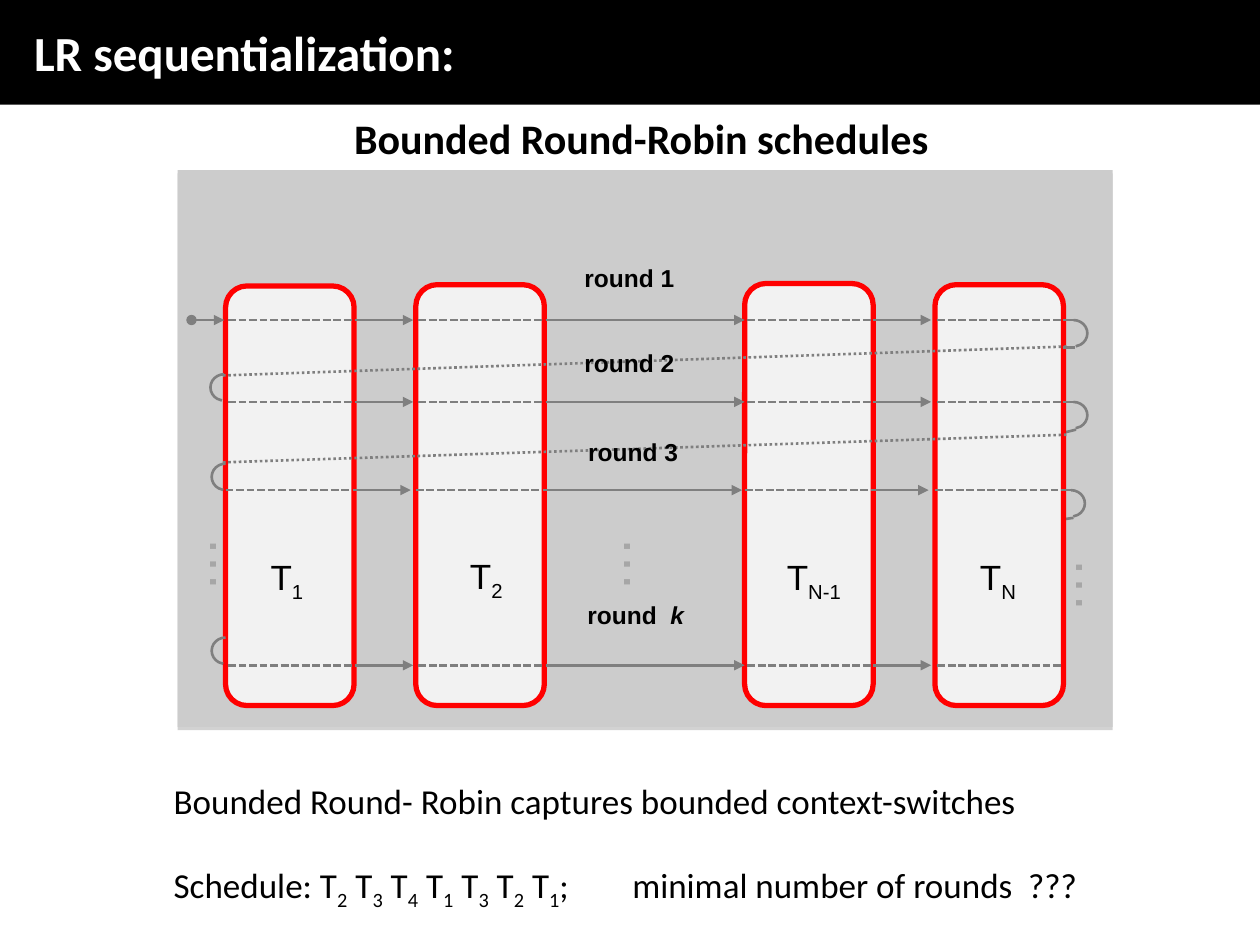
from dataclasses import dataclass

from lxml.etree import SubElement
from pptx import Presentation
from pptx.dml.color import RGBColor
from pptx.enum.dml import MSO_LINE_DASH_STYLE as Dash
from pptx.enum.shapes import MSO_CONNECTOR, MSO_SHAPE
from pptx.enum.text import MSO_ANCHOR, MSO_AUTO_SIZE, PP_ALIGN
from pptx.oxml.ns import qn
from pptx.util import Inches, Pt

BLACK = RGBColor(0x00, 0x00, 0x00)
WHITE = RGBColor(0xFF, 0xFF, 0xFF)
PANEL_GREY = RGBColor(0xCC, 0xCC, 0xCC)
THREAD_FILL = RGBColor(0xF2, 0xF2, 0xF2)
THREAD_RED = RGBColor(0xFF, 0x00, 0x00)
PATH_GREY = RGBColor(0x7F, 0x7F, 0x7F)
DOTS_GREY = RGBColor(0xA6, 0xA6, 0xA6)

THREAD_WIDTH = 1.02
THREAD_BOTTOM = 5.6
SWITCHES = ((2.82, 3.28), (4.33, 5.91), (6.93, 7.39))  # gaps between threads


@dataclass(frozen=True)
class Thread:
    index: str
    left: float
    top: float
    label_center: float
    label_top: float = 4.36


@dataclass(frozen=True)
class Round:
    y: float
    shift: float = 0.0


@dataclass(frozen=True)
class Label:
    text: str
    left: float
    top: float


THREADS = (
    Thread("1 ", 1.79, 2.27, 2.3),
    Thread("2", 3.3, 2.26, 3.86, 4.35),
    Thread("N-1", 5.91, 2.25, 6.46),
    Thread("N", 7.42, 2.26, 7.92),
)
ROUNDS = (Round(2.54), Round(3.19), Round(3.89, -0.02), Round(5.28))
ROUND_LABELS = (Label("round 1", 4.17, 2.04), Label("round 2", 4.17, 2.71),
                Label("round 3", 4.2, 3.42))
ELLIPSES = ((4.68, 4.16), (1.4, 4.16), (8.27, 4.33))
LEFT_TURNS = ((1.67, 2.97), (1.68, 3.68), (1.68, 5.06))

deck = Presentation()
deck.slide_width, deck.slide_height = Inches(10), Inches(7.5)
slide = deck.slides.add_slide(deck.slide_layouts[5])
shapes = slide.shapes


def box(kind: MSO_SHAPE, left: float, top: float, width: float, height: float):
    shape = shapes.add_shape(kind, Inches(left), Inches(top), Inches(width), Inches(height))
    shape.shadow.inherit = False
    return shape


def line(x1: float, y1: float, x2: float, y2: float, dash: Dash | None = None,
         head: str = "", tail: str = "") -> None:
    link = shapes.add_connector(MSO_CONNECTOR.STRAIGHT, Inches(x1), Inches(y1),
                                Inches(x2), Inches(y2))
    link.line.color.rgb = PATH_GREY
    link.line.width = Pt(1.5)
    if dash:
        link.line.dash_style = dash
    outline = link.line._get_or_add_ln()
    for tag, end in (("a:headEnd", head), ("a:tailEnd", tail)):
        if end:
            SubElement(outline, qn(tag), type=end)
    SubElement(link._element.spPr, qn("a:effectLst"))


def turn(left: float, top: float, start: float, end: float) -> None:
    """Draw a half circle between two angles in degrees."""
    arc = box(MSO_SHAPE.ARC, left, top, 0.22, 0.21)
    arc.adjustments[0], arc.adjustments[1] = start * 0.6, end * 0.6
    arc.fill.background()
    arc.line.color.rgb = PATH_GREY
    arc.line.width = Pt(1.5)


def text_box(left: float, top: float, width: float, height: float):
    frame = shapes.add_textbox(Inches(left), Inches(top), Inches(width), Inches(height))
    frame.text_frame.word_wrap = True
    return frame


def style(paragraph, size: float, face: str, color: RGBColor = BLACK,
          bold: bool = False, align: PP_ALIGN = PP_ALIGN.CENTER) -> None:
    paragraph.alignment = align
    font = paragraph.font
    font.size, font.name, font.bold = Pt(size), face, bold
    font.color.rgb = color


def add_run(paragraph, text: str, subscript: bool = False):
    run = paragraph.add_run()
    run.text = text
    if subscript:
        run.font._element.set("baseline", "-25000")
    return run


# Title band
title = shapes.title
title.left, title.top, title.width, title.height = 0, 0, Inches(10.03), Inches(0.83)
title.fill.solid()
title.fill.fore_color.rgb = BLACK
heading = title.text_frame
heading.text = "LR sequentialization:"
heading.auto_size = MSO_AUTO_SIZE.NONE
heading.vertical_anchor = MSO_ANCHOR.MIDDLE
heading.margin_left = Inches(0.27)
style(heading.paragraphs[0], 28, "Calibri", WHITE, True, PP_ALIGN.LEFT)

# Panel with a faint shadow below it
panel = box(MSO_SHAPE.RECTANGLE, 1.41, 1.35, 7.42, 4.42)
panel.fill.solid()
panel.fill.fore_color.rgb = PANEL_GREY
panel.line.fill.background()
shadow = SubElement(panel._element.spPr.find(qn("a:effectLst")), qn("a:outerShdw"),
                    dist=str(Pt(1.8)), dir="5400000", rotWithShape="0")
tint = SubElement(shadow, qn("a:srgbClr"), val="808080")
SubElement(tint, qn("a:alpha"), val="35000")

subtitle = text_box(0.89, 0.84, 8.4, 0.5).text_frame.paragraphs[0]
add_run(subtitle, "Bounded Round-Robin schedules")
style(subtitle, 24, "Calibri", bold=True)

# Ends of the turns that pass behind the last thread
line(7.55, 4.25, 8.52, 4.11)
line(7.48, 3.67, 8.54, 3.41)

# Threads
for thread in THREADS:
    body = box(MSO_SHAPE.ROUNDED_RECTANGLE, thread.left, thread.top,
               THREAD_WIDTH, THREAD_BOTTOM - thread.top)
    body.fill.solid()
    body.fill.fore_color.rgb = THREAD_FILL
    body.line.color.rgb = THREAD_RED
    body.line.width = Pt(3)
    name = text_box(thread.label_center - 0.6, thread.label_top, 1.2,
                    0.48).text_frame.paragraphs[0]
    add_run(name, "T")
    add_run(name, thread.index, True)
    style(name, 20, "Arial")

# Rounds: dashed inside the threads, arrows between them
for step in ROUNDS:
    for thread in THREADS:
        start = thread.left + 0.02 + step.shift
        line(start, step.y, start + 0.99, step.y, Dash.SQUARE_DOT)
    for start, end in SWITCHES:
        line(start + step.shift, step.y, end + step.shift, step.y, tail="triangle")
line(1.52, 2.54, 1.78, 2.54, head="oval", tail="triangle")

# Turns into the next round
for step in ROUNDS[:-1]:
    turn(8.41 + step.shift, step.y, 270, 80)
    line(8.44 + step.shift, step.y, 8.53 + step.shift, step.y)
line(8.44, 2.76, 8.53, 2.76)
for left, top in LEFT_TURNS:
    turn(left, top, 100, 270)
line(1.77, 2.98, 8.47, 2.75, Dash.ROUND_DOT)
line(1.77, 3.67, 8.47, 3.45, Dash.ROUND_DOT)

# Round labels and ellipses
for label in ROUND_LABELS:
    caption = text_box(label.left, label.top, 1.65, 0.34).text_frame.paragraphs[0]
    add_run(caption, label.text)
    style(caption, 14, "Arial", bold=True)
last_caption = text_box(4.12, 4.52, 1.85, 0.57).text_frame.paragraphs[0]
style(last_caption, 14, "Arial", bold=True)
add_run(last_caption, "round")
add_run(last_caption, " ").font.size = Pt(28)
add_run(last_caption, "k").font.italic = True

for left, top in ELLIPSES:
    dots = text_box(left, top, 0.9, 0.64)
    dots.rotation = 90
    dots.text_frame.vertical_anchor = MSO_ANCHOR.MIDDLE
    add_run(dots.text_frame.paragraphs[0], "…")
    style(dots.text_frame.paragraphs[0], 32, "Arial", DOTS_GREY)

# Closing remarks
remarks = text_box(1.28, 6.14, 7.55, 1.15).text_frame
claim = remarks.paragraphs[0]
add_run(claim, "Bounded Round- Robin captures bounded context-switches")
schedule = remarks.add_paragraph()
for remark in (claim, schedule):
    style(remark, 20, "Calibri", align=PP_ALIGN.LEFT)
schedule.space_before = Pt(24)
tabs = schedule._p.get_or_add_pPr().find(qn("a:defRPr"))
tab_list = SubElement(schedule._p.pPr, qn("a:tabLst"))
SubElement(tab_list, qn("a:tab"), pos=str(Inches(3.64)), algn="l")
tabs.addprevious(tab_list)
add_run(schedule, "Schedule:")
for index in "2341321":
    add_run(schedule, " T")
    add_run(schedule, index, True)
add_run(schedule, ";\tminimal number of rounds  ???")

deck.save("out.pptx")
